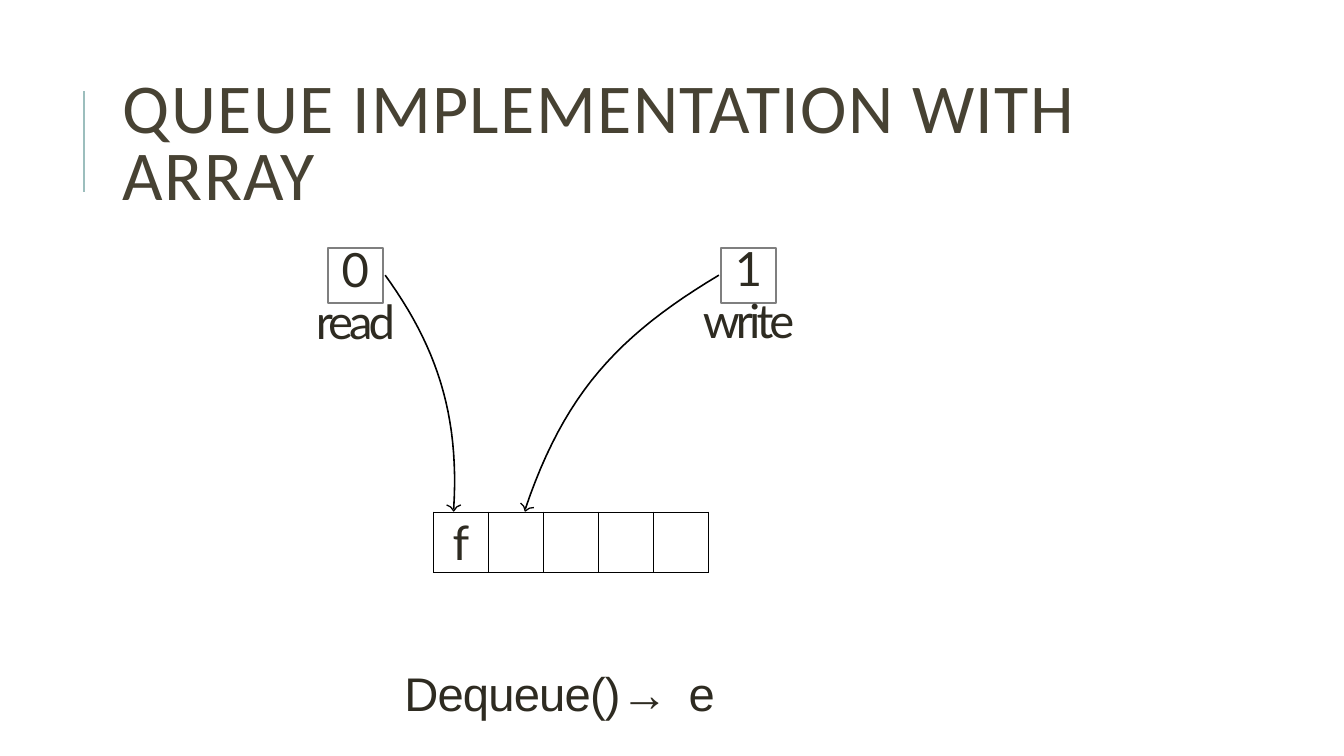
import math
import pptx
import pptx.util
import pptx.dml.color
import pptx.enum.shapes
import pptx.enum.text
import pptx.oxml
import pptx.oxml.ns
from lxml import etree

Inches = pptx.util.Inches
Pt = pptx.util.Pt
ALIGN = pptx.enum.text.PP_ALIGN
MIDDLE = pptx.enum.text.MSO_ANCHOR.MIDDLE
SHAPE = pptx.enum.shapes.MSO_SHAPE
COLORS = {"title": "474233", "text": "2E2B21", "bar": "9CBEBD",
          "box": "7F7F7F", "line": "000000"}
BOX = 0.55
HEAD = [(-0.07, -0.06), (-0.03, -0.04), (0, 0), (0.03, -0.04), (0.07, -0.06)]


def rgb(name):
    return pptx.dml.color.RGBColor.from_string(COLORS[name])


def stroke(line, color, width):
    line.color.rgb = rgb(color)
    line.width = Pt(width)


def add_run(para, text, size, font, color="text", gap=0, italic=None):
    """Add one run; gap is the letter spacing in points."""
    run = para.add_run()
    run.text = text
    run.font.size = Pt(size)
    run.font.name = font
    run.font.italic = italic
    run.font.color.rgb = rgb(color)
    run._r.get_or_add_rPr().set("spc", str(round(gap * 100)))


def add_text(slide, left, top, width, height, inset=0):
    box = slide.shapes.add_textbox(*map(Inches, (left, top, width, height)))
    frame = box.text_frame
    frame.word_wrap = True
    frame.margin_left = frame.margin_right = Inches(inset)
    frame.margin_top = frame.margin_bottom = Inches(inset / 2)
    return frame


def add_path(slide, points, width):
    (x, y), *rest = [(Inches(a), Inches(b)) for a, b in points]
    build = slide.shapes.build_freeform(x, y)
    build.add_line_segments(rest, close=False)
    shape = build.convert_to_shape()
    shape.shadow.inherit = False
    shape.fill.background()
    stroke(shape.line, "line", width)


def add_title(slide, left, top, width, height):
    bar = slide.shapes.add_connector(
        pptx.enum.shapes.MSO_CONNECTOR.STRAIGHT,
        Inches(left - 0.29), Inches(top + 1.26),
        Inches(left - 0.29), Inches(top + 0.26))
    stroke(bar.line, "bar", 1.5)
    etree.SubElement(bar._element.spPr, pptx.oxml.ns.qn("a:effectLst"))
    frame = add_text(slide, left, top, width, height, 0.1)
    frame.vertical_anchor = MIDDLE
    para = frame.paragraphs[0]
    para.line_spacing = 0.8
    add_run(para, "QUEUE IMPLEMENTATION WITH ARRAY", 50, "Calibri", "title", 1)


def add_index(slide, left, top, value, label, width, pitch):
    """Draw an index box with its value inside and its label below."""
    box = slide.shapes.add_shape(SHAPE.RECTANGLE, Inches(left), Inches(top),
                                 Inches(BOX), Inches(BOX))
    box.shadow.inherit = False
    box.fill.background()
    stroke(box.line, "box", 1.42)
    frame = add_text(slide, left + (BOX - width) / 2, top - 0.07, width, 1.1)
    frame.margin_top = Inches(0.03)
    paras = frame.paragraphs[0], frame.add_paragraph()
    for para, text, gap in zip(paras, (value, label), (-1.7, -2.8)):
        para.alignment = ALIGN.CENTER
        para.line_spacing = Pt(pitch)
        add_run(para, text, 33.7, "Lato", gap=gap)


def add_cells(slide, left, top, width, height, values):
    count = len(values)
    frame = slide.shapes.add_table(
        1, count, *map(Inches, (left, top, width, height)))
    table = frame.table
    table.first_row = table.horz_banding = False
    for col, value in enumerate(values):
        table.columns[col].width = Inches(width / count)
        cell = table.cell(0, col)
        cell.margin_left = cell.margin_right = 0
        cell.margin_top = cell.margin_bottom = 0
        cell.vertical_anchor = MIDDLE
        props = cell._tc.get_or_add_tcPr()
        for side in ("lnL", "lnR", "lnT", "lnB"):
            props.append(pptx.oxml.parse_xml(
                f'<a:{side} {pptx.oxml.ns.nsdecls("a")} w="6350"><a:solidFill>'
                f'<a:srgbClr val="{COLORS["line"]}"/></a:solidFill></a:{side}>'))
        cell.fill.background()
        if value:
            para = cell.text_frame.paragraphs[0]
            para.alignment = ALIGN.CENTER
            add_run(para, value, 34, "Lato")


def add_arrow(slide, ends, turn):
    """Draw a Bezier curve through four control points, with an open head."""
    curve = []
    for step in range(25):
        t = step / 24
        parts = ((1 - t) ** 3, 3 * t * (1 - t) ** 2, 3 * t * t * (1 - t), t ** 3)
        curve.append([sum(w * p[axis] for w, p in zip(parts, ends))
                      for axis in (0, 1)])
    add_path(slide, curve, 1.13)
    x, y = ends[-1]
    cos, sin = math.cos(turn), math.sin(turn)
    add_path(slide, [(x + a * cos - b * sin, y + 0.02 + a * sin + b * cos)
                     for a, b in HEAD], 0.91)


def add_call(slide, left, top, width, height):
    para = add_text(slide, left, top, width, height).paragraphs[0]
    para.line_spacing = Pt(37.1)
    add_run(para, "Dequeue()", 33.7, "Arial", gap=-0.6)
    add_run(para, "→ ", 33.7, "Arial", gap=2.7, italic=True)
    add_run(para, "e", 33.7, "Arial", gap=-1.7, italic=False)


def main():
    deck = pptx.Presentation()
    deck.slide_width, deck.slide_height = Inches(13.33), Inches(7.5)
    slide = deck.slides.add_slide(deck.slide_layouts[6])
    add_title(slide, 1.12, 0.64, 10.63, 1.64)
    add_index(slide, 3.25, 2.46, "0", "read", 0.85, 37.6)
    add_index(slide, 7.15, 2.46, "1", "write", 0.98, 37.1)
    add_cells(slide, 4.3, 5.08, 2.73, 0.6, ["f", "", "", "", ""])
    add_arrow(slide, [(3.82, 2.73), (4.32, 3.42), (4.56, 4.1), (4.5, 5.05)], 0)
    add_arrow(slide, [(7.13, 2.73), (6.13, 3.33), (5.6, 3.9), (5.21, 5.05)], 0.33)
    add_call(slide, 4.01, 6.64, 3.11, 0.52)
    deck.save("out.pptx")


if __name__ == "__main__":
    main()
